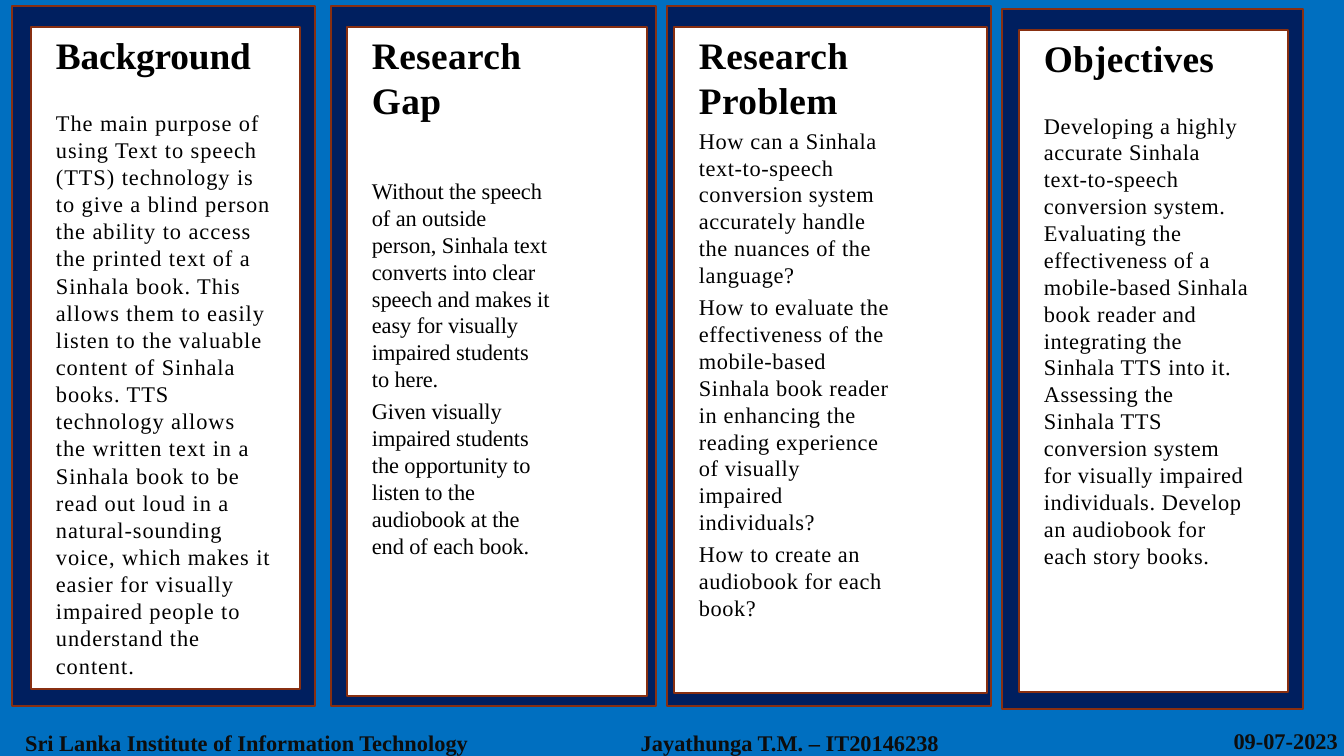
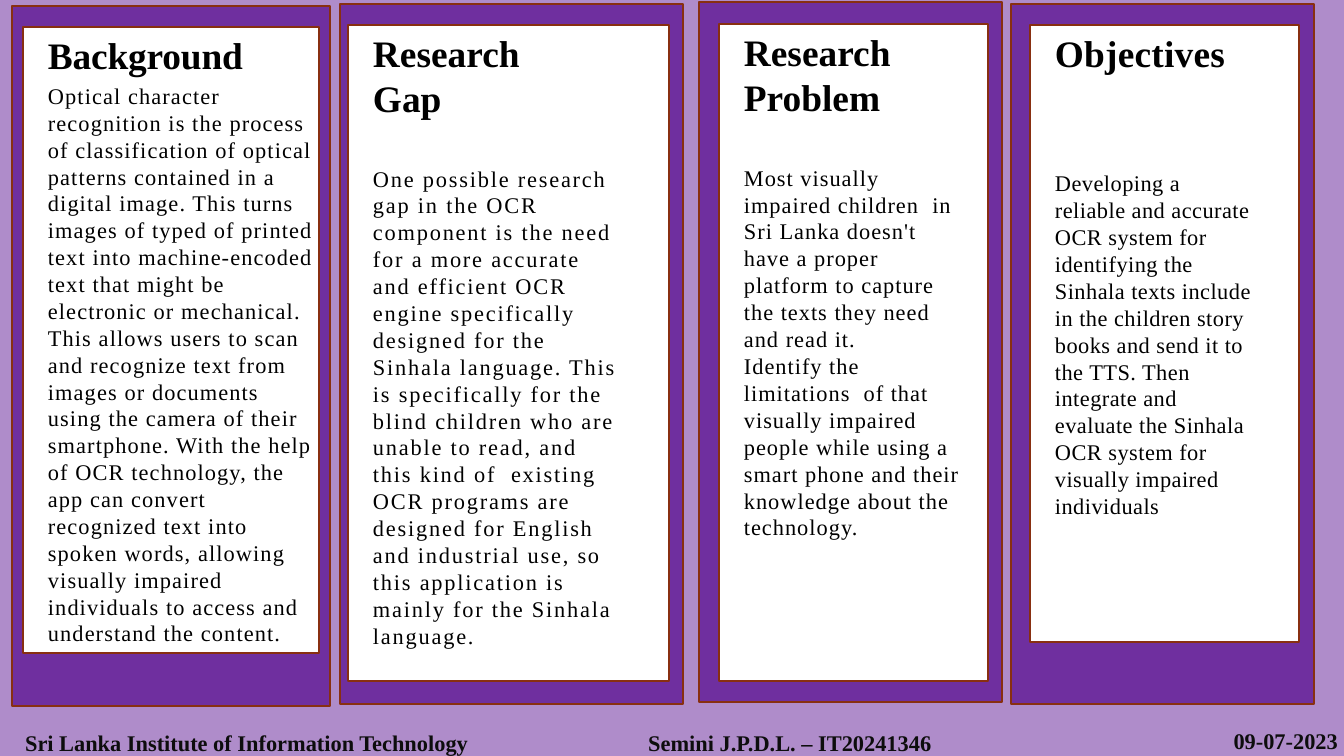
from dataclasses import dataclass
from typing import Any, NamedTuple

from lxml.etree import SubElement
from pptx import Presentation
from pptx.dml.color import RGBColor as RGB
from pptx.enum.shapes import MSO_SHAPE as Shape
from pptx.enum.text import MSO_ANCHOR as Anchor, PP_ALIGN as Align
from pptx.oxml.ns import qn
from pptx.util import Emu, Pt

SLIDE_W, SLIDE_H = 1344, 756
EMU_PER_PX = 9144000 / SLIDE_W
FRAME_H = 700
TEXT_INDENT = 25


@dataclass(frozen=True)
class Theme:
    font: str = "Times New Roman"
    title_pt: int = 20
    body_pt: int = 12
    border_pt: float = 1.25
    border: str = "882F11"
    card: str = "FFFFFF"
    text: str = "000000"
    footer: str = "0D0D0D"


THEME = Theme()


class Box(NamedTuple):
    left: int
    top: int
    width: int
    height: int


@dataclass(frozen=True)
class Panel:
    """A framed column; gap and para_gap are points before the body and between its paragraphs."""
    frame: Box
    card: Box
    right_margin: int
    titles: tuple[str, ...]
    title_spc: float
    body: tuple[str, ...]
    body_spc: float
    gap: float = 2.8
    para_gap: float = 2.8
    line_spacing: float = 1.0


@dataclass(frozen=True)
class Poster:
    backdrop: str
    opacity: int
    frame_color: str
    author: str
    panels: tuple[Panel, ...]


class FooterItem(NamedTuple):
    box: Box
    align: Align
    text: str


BLUE_POSTER = Poster("006FC0", 100, "001F5F", "Jayathunga T.M. – IT20146238", (
    Panel(
        Box(12, 6, 303, FRAME_H), Box(31, 27, 269, 662), 28,
        ("Background",), -0.1,
        ("The main purpose of using Text to speech (TTS) technology is to give a blind "
         "person the ability to access the printed text of a Sinhala book. This allows "
         "them to easily listen to the valuable content of Sinhala books. TTS technology "
         "allows the written text in a Sinhala book to be read out loud in a "
         "natural-sounding voice, which makes it easier for visually impaired people to "
         "understand the content.",),
        0.5, gap=17, line_spacing=1.01),
    Panel(
        Box(331, 6, 325, FRAME_H), Box(347, 27, 300, 669), 97,
        ("Research Gap",), 0.2,
        ("Without the speech of an outside person, Sinhala text converts into clear "
         "speech and makes it easy for visually impaired students to here.",
         "Given visually impaired students the opportunity to listen to the audiobook at "
         "the end of each book."),
        -0.05, gap=29.8),
    Panel(
        Box(667, 6, 324, FRAME_H), Box(674, 27, 313, 666), 97,
        ("Research Problem",), 0.2,
        ("How can a Sinhala text-to-speech conversion system accurately handle the "
         "nuances of the language?",
         "How to evaluate the effectiveness of the mobile-based Sinhala book reader in "
         "enhancing the reading experience of visually impaired individuals?",
         "How to create an audiobook for each book?"),
        0.3),
    Panel(
        Box(1002, 9, 301, FRAME_H), Box(1019, 30, 269, 662), 38,
        ("Objectives",), 0.1,
        ("Developing a highly accurate Sinhala text-to-speech conversion system. "
         "Evaluating the effectiveness of a mobile-based Sinhala book reader and "
         "integrating the Sinhala TTS into it. Assessing the Sinhala TTS conversion "
         "system for visually impaired individuals. Develop an audiobook for each story "
         "books.",),
        0.3, gap=17.1),
))

PURPLE_POSTER = Poster("6F2F9F", 55, "6F2F9F", "Semini J.P.D.L. – IT20241346", (
    Panel(
        Box(12, 6, 318, FRAME_H), Box(23, 27, 296, 626), 4,
        ("Background",), -0.1,
        ("Optical character recognition is the process of classification of optical "
         "patterns contained in a digital image. This turns images of typed of printed "
         "text into machine-encoded text that might be electronic or mechanical. This "
         "allows users to scan and recognize text from images or documents using the "
         "camera of their smartphone. With the help of OCR technology, the app can "
         "convert recognized text into spoken words, allowing visually impaired "
         "individuals to access and understand the content.",),
        0.6),
    Panel(
        Box(340, 4, 343, FRAME_H), Box(348, 25, 321, 656), 50,
        ("Research", "Gap"), 0,
        ("One possible research gap in the OCR component is the need for a more accurate "
         "and efficient OCR engine specifically designed for the Sinhala language. This "
         "is specifically for the blind children who are unable to read, and this kind "
         "of  existing OCR programs are designed for English and industrial use, so this "
         "application is mainly for the Sinhala language.",),
        0.95, gap=24.2),
    Panel(
        Box(699, 2, 303, FRAME_H), Box(719, 24, 269, 657), 26,
        ("Research", "Problem"), 0,
        ("Most visually impaired children  in Sri Lanka doesn't have a proper platform to "
         "capture the texts they need and read it.",
         "Identify the limitations  of that visually impaired people while using a smart "
         "phone and their knowledge about the technology."),
        0.55, gap=24.2, para_gap=0.2),
    Panel(
        Box(1011, 4, 303, FRAME_H), Box(1030, 25, 269, 617), 46,
        ("Objectives",), 0.1,
        ("Developing a reliable and accurate OCR system for identifying the Sinhala texts "
         "include in the children story books and send it to the TTS. Then integrate and "
         "evaluate the Sinhala OCR system for visually impaired individuals",),
        0.25, gap=50.8),
))


def px(n: int) -> Emu:
    return Emu(round(n * EMU_PER_PX))


def set_all(target: Any, values: dict[str, Any]) -> None:
    for name, value in values.items():
        setattr(target, name, value)


def add_rect(s: Any, box: Box, fill: str, border: bool = True, opacity: int = 100) -> Any:
    sp = s.shapes.add_shape(Shape.RECTANGLE, *map(px, box))
    sp.shadow.inherit = False
    sp.fill.solid()
    sp.fill.fore_color.rgb = RGB.from_string(fill)
    if opacity < 100:
        color = sp.fill._xPr.find(qn("a:solidFill"))[0]
        SubElement(color, qn("a:alpha")).set("val", str(opacity * 1000))
    if border:
        sp.line.color.rgb = RGB.from_string(THEME.border)
        sp.line.width = Pt(THEME.border_pt)
    else:
        sp.line.fill.background()
    return sp


def prepare_frame(sp: Any, top: int) -> Any:
    """Give the shape a wrapping, top-anchored text frame inset only at the top."""
    tf = sp.text_frame
    set_all(tf, {"word_wrap": True, "vertical_anchor": Anchor.TOP, "margin_left": 0,
                 "margin_right": 0, "margin_top": px(top), "margin_bottom": 0})
    return tf


def add_text(tf: Any, text: str, size: int, color: str, bold: bool = False,
             spc: float = 0, **layout: Any) -> Any:
    p = tf.paragraphs[0] if not tf.text else tf.add_paragraph()
    set_all(p, layout)
    r = p.add_run()
    r.text = text
    set_all(r.font, {"name": THEME.font, "size": Pt(size), "bold": bold})
    r.font.color.rgb = RGB.from_string(color)
    if spc:
        r._r.get_or_add_rPr().set("spc", str(round(spc * 100)))
    return p


def draw_panel(s: Any, panel: Panel, frame_color: str) -> None:
    add_rect(s, panel.frame, frame_color)
    tf = prepare_frame(add_rect(s, panel.card, THEME.card), top=5)
    for title in panel.titles:
        add_text(tf, title, THEME.title_pt, THEME.text, True, panel.title_spc,
                 alignment=Align.LEFT)
    for i, text in enumerate(panel.body):
        add_text(tf, text, THEME.body_pt, THEME.text, False, panel.body_spc,
                 alignment=Align.LEFT, line_spacing=panel.line_spacing,
                 space_before=Pt(panel.para_gap if i else panel.gap))
    for p in tf.paragraphs:
        pPr = p._p.get_or_add_pPr()
        pPr.set("marL", str(px(TEXT_INDENT)))
        pPr.set("marR", str(px(panel.right_margin)))


def draw_footer(s: Any, author: str) -> None:
    for item in (
        FooterItem(Box(1, 727, 492, 29), Align.CENTER,
                   "Sri Lanka Institute of Information Technology"),
        FooterItem(Box(493, 727, 594, 29), Align.CENTER, author),
        FooterItem(Box(1087, 725, 251, 29), Align.RIGHT, "09-07-2023"),
    ):
        tf = prepare_frame(s.shapes.add_textbox(*map(px, item.box)), top=2)
        add_text(tf, item.text, THEME.body_pt, THEME.footer, True, alignment=item.align)


def draw_poster(prs: Any, poster: Poster) -> None:
    s = prs.slides.add_slide(prs.slide_layouts[6])
    add_rect(s, Box(0, 0, SLIDE_W, SLIDE_H), poster.backdrop, False, poster.opacity)
    for panel in poster.panels:
        draw_panel(s, panel, poster.frame_color)
    draw_footer(s, poster.author)


def main() -> None:
    prs = Presentation()
    set_all(prs, {"slide_width": px(SLIDE_W), "slide_height": px(SLIDE_H)})
    for poster in (BLUE_POSTER, PURPLE_POSTER):
        draw_poster(prs, poster)
    prs.save("out.pptx")


if __name__ == "__main__":
    main()
